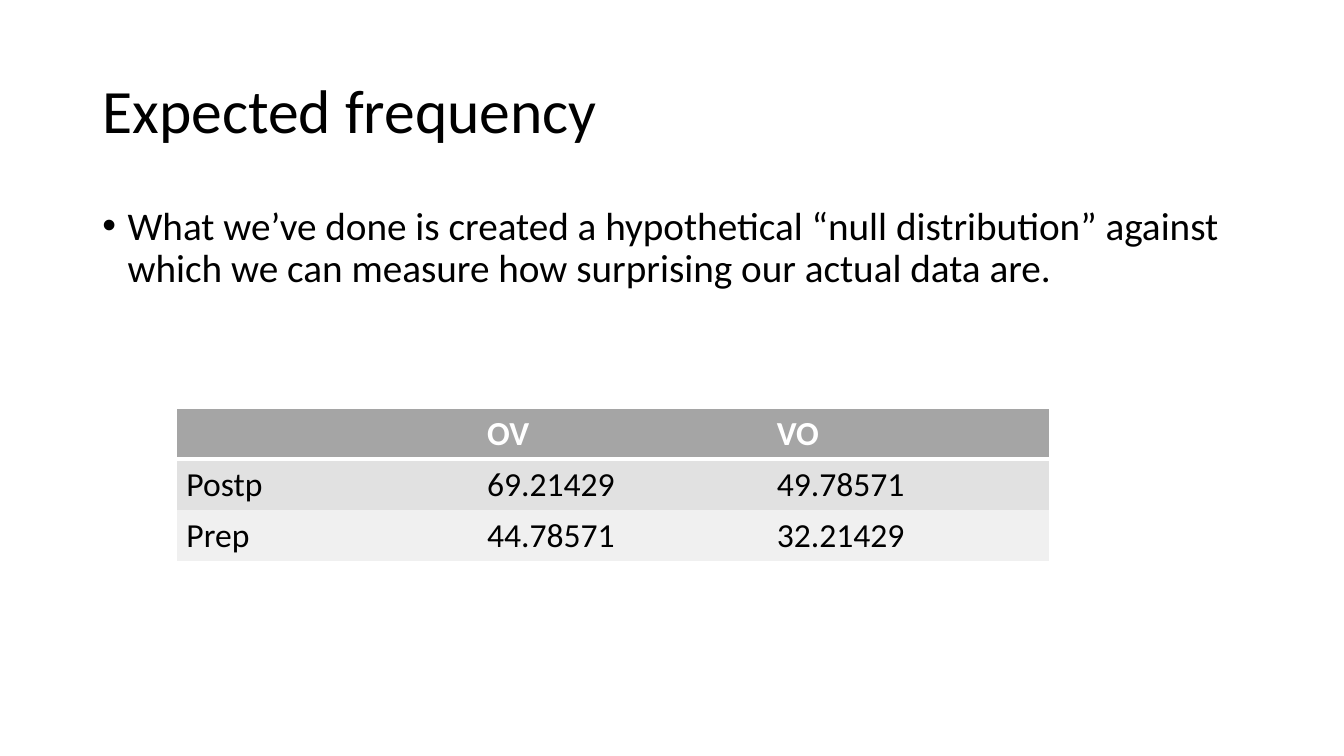
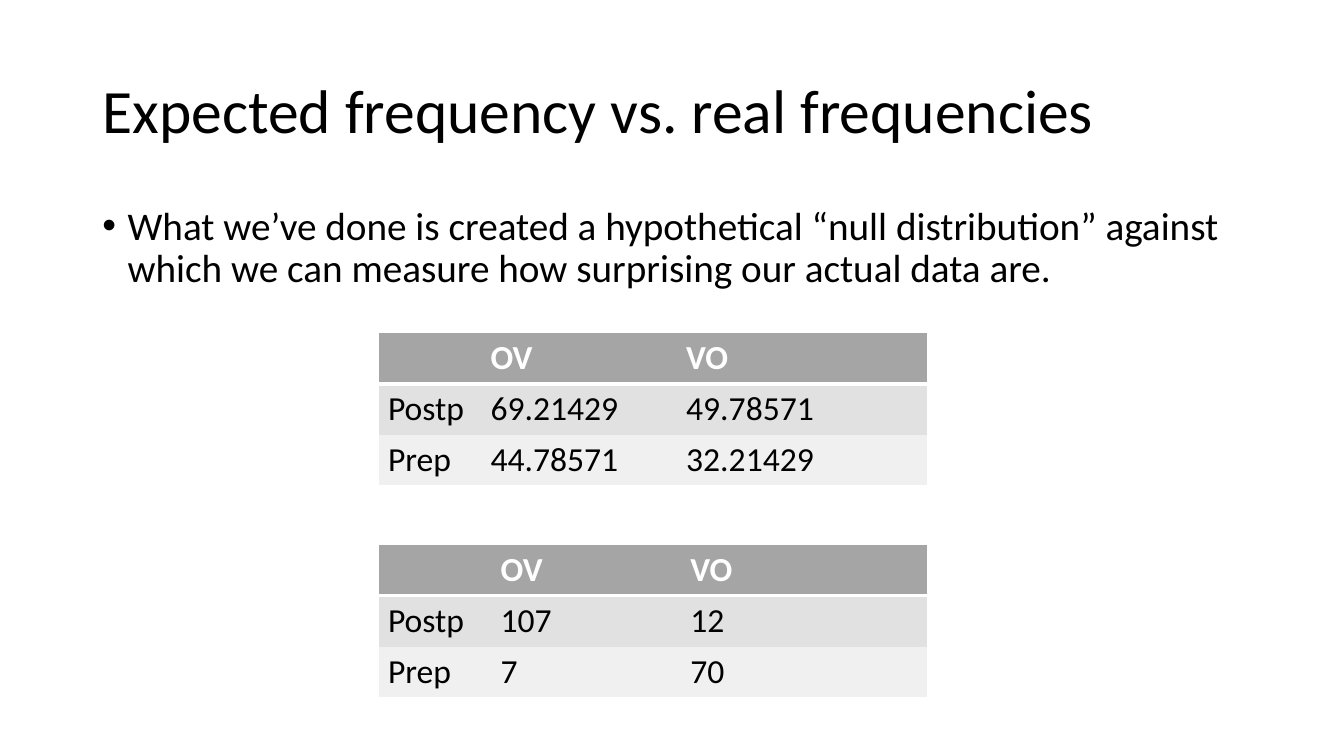
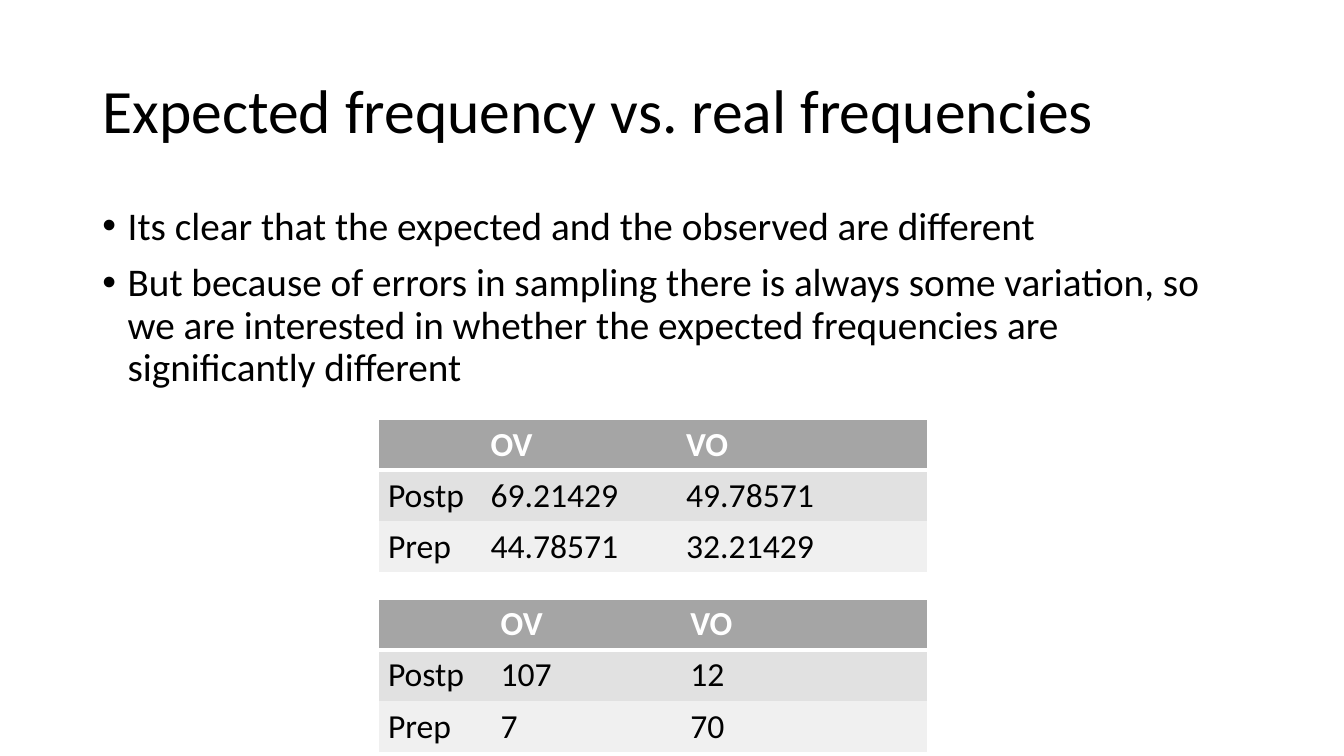
import pptx
import pptx.dml.color
import pptx.enum.text
import pptx.oxml.ns
import pptx.util
from lxml import etree

COLORS = {
    "text": "000000",
    "header_text": "FFFFFF",
    "border": "FFFFFF",
    "header": "A5A5A5",
    "odd_row": "E1E1E1",
    "even_row": "F0F0F0",
}
FONT = "Calibri"
TITLE_SIZE, BODY_SIZE, TABLE_SIZE = 44, 28, 24

# The slide is a grid of 160 x 90 square units.
UNIT = pptx.util.Inches(1 / 12)
TITLE_BOX = (11, 4.8, 138, 17.4)
BODY_BOX = (11, 24, 138, 57.1)
ROW_HEIGHT = 6
TABLE_LEFT = 45

NULL_DISTRIBUTION = [
    "What we’ve done is created a hypothetical “null distribution” against "
    "which we can measure how surprising our actual data are."
]
SAMPLING_ERRORS = [
    "Its clear that the expected and the observed are different",
    "But because of errors in sampling there is always some variation, so we "
    "are interested in whether the expected frequencies are significantly different",
]
HEADINGS = ["", "OV", "VO"]
EXPECTED = [HEADINGS, ["Postp", "69.21429", "49.78571"], ["Prep", "44.78571", "32.21429"]]
OBSERVED = [HEADINGS, ["Postp", "107", "12"], ["Prep", "7", "70"]]
WIDE_COLUMNS = [35.8, 34.5, 33.7]
EXPECTED_COLUMNS = [12.2, 23.3, 29.9]
OBSERVED_COLUMNS = [13.4, 22.6, 29.4]


def units(count):
    return round(count * UNIT)


def write(frame, lines, size, color="text", bold=False, spacing=None, before=None, indent=None):
    """Fill a text frame with one paragraph per line, hanging a bullet if indented."""
    for index, line in enumerate(lines):
        paragraph = frame.add_paragraph() if index else frame.paragraphs[0]
        paragraph.alignment = pptx.enum.text.PP_ALIGN.LEFT
        paragraph.line_spacing = spacing
        if before is not None:
            paragraph.space_before = pptx.util.Pt(before)
        if indent:
            hang = pptx.util.Inches(indent)
            properties = paragraph._p.get_or_add_pPr()
            properties.set("marL", str(hang))
            properties.set("indent", str(-hang))
            bullet_font = etree.SubElement(properties, pptx.oxml.ns.qn("a:buFont"))
            bullet_font.set("typeface", "Arial")
            etree.SubElement(properties, pptx.oxml.ns.qn("a:buChar")).set("char", "•")
        font = paragraph.font
        if line:
            run = paragraph.add_run()
            run.text = line
            font = run.font
        font.name = FONT
        font.size = pptx.util.Pt(size)
        font.bold = bold
        font.color.rgb = pptx.dml.color.RGBColor.from_string(COLORS[color])


def place(placeholder, box, anchor):
    placeholder.left, placeholder.top, placeholder.width, placeholder.height = map(units, box)
    frame = placeholder.text_frame
    frame.word_wrap = True
    frame.auto_size = pptx.enum.text.MSO_AUTO_SIZE.NONE
    frame.vertical_anchor = anchor
    return frame


def add_slide(deck, title, points):
    slide = deck.slides.add_slide(deck.slide_layouts[1])
    anchors = pptx.enum.text.MSO_ANCHOR
    heading = place(slide.shapes.title, TITLE_BOX, anchors.MIDDLE)
    write(heading, [title], TITLE_SIZE, spacing=0.9)
    body = place(slide.placeholders[1], BODY_BOX, anchors.TOP)
    write(body, points, BODY_SIZE, spacing=0.9, before=10, indent=0.25)
    return slide


def set_borders(cell, widths):
    """Draw the cell's edges; widths maps L, R, T and B to points, 0 for none."""
    properties = cell._tc.get_or_add_tcPr()
    for side, width in widths.items():
        line = etree.SubElement(properties, pptx.oxml.ns.qn("a:ln" + side))
        line.set("w", str(pptx.util.Pt(width)))
        if width:
            fill = etree.SubElement(line, pptx.oxml.ns.qn("a:solidFill"))
            etree.SubElement(fill, pptx.oxml.ns.qn("a:srgbClr")).set("val", COLORS["border"])
        else:
            etree.SubElement(line, pptx.oxml.ns.qn("a:noFill"))


def add_frequencies(slide, frequencies, columns, top, left=TABLE_LEFT):
    row_count, column_count = len(frequencies), len(columns)
    table = slide.shapes.add_table(
        row_count, column_count, units(left), units(top),
        units(sum(columns)), units(ROW_HEIGHT * row_count),
    ).table
    for column, width in zip(table.columns, columns):
        column.width = units(width)
    rules = [1, 3] + [0] * (row_count - 2) + [1]
    for r, values in enumerate(frequencies):
        is_header = r == 0
        shade = "header" if is_header else "odd_row" if r % 2 else "even_row"
        for c, value in enumerate(values):
            cell = table.cell(r, c)
            set_borders(cell, {
                "L": int(c == 0),
                "R": int(c == column_count - 1),
                "T": rules[r],
                "B": rules[r + 1],
            })
            cell.fill.solid()
            cell.fill.fore_color.rgb = pptx.dml.color.RGBColor.from_string(COLORS[shade])
            write(cell.text_frame, [value], TABLE_SIZE, bold=is_header,
                  color="header_text" if is_header else "text")


def main():
    deck = pptx.Presentation()
    deck.slide_width, deck.slide_height = units(160), units(90)

    slide = add_slide(deck, "Expected frequency", NULL_DISTRIBUTION)
    add_frequencies(slide, EXPECTED, WIDE_COLUMNS, top=48.6, left=21)

    comparisons = [(NULL_DISTRIBUTION, 39.6, 64.8), (SAMPLING_ERRORS, 49.9, 71.3)]
    for points, expected_top, observed_top in comparisons:
        slide = add_slide(deck, "Expected frequency vs. real frequencies", points)
        add_frequencies(slide, EXPECTED, EXPECTED_COLUMNS, expected_top)
        add_frequencies(slide, OBSERVED, OBSERVED_COLUMNS, observed_top)

    deck.save("out.pptx")


if __name__ == "__main__":
    main()
